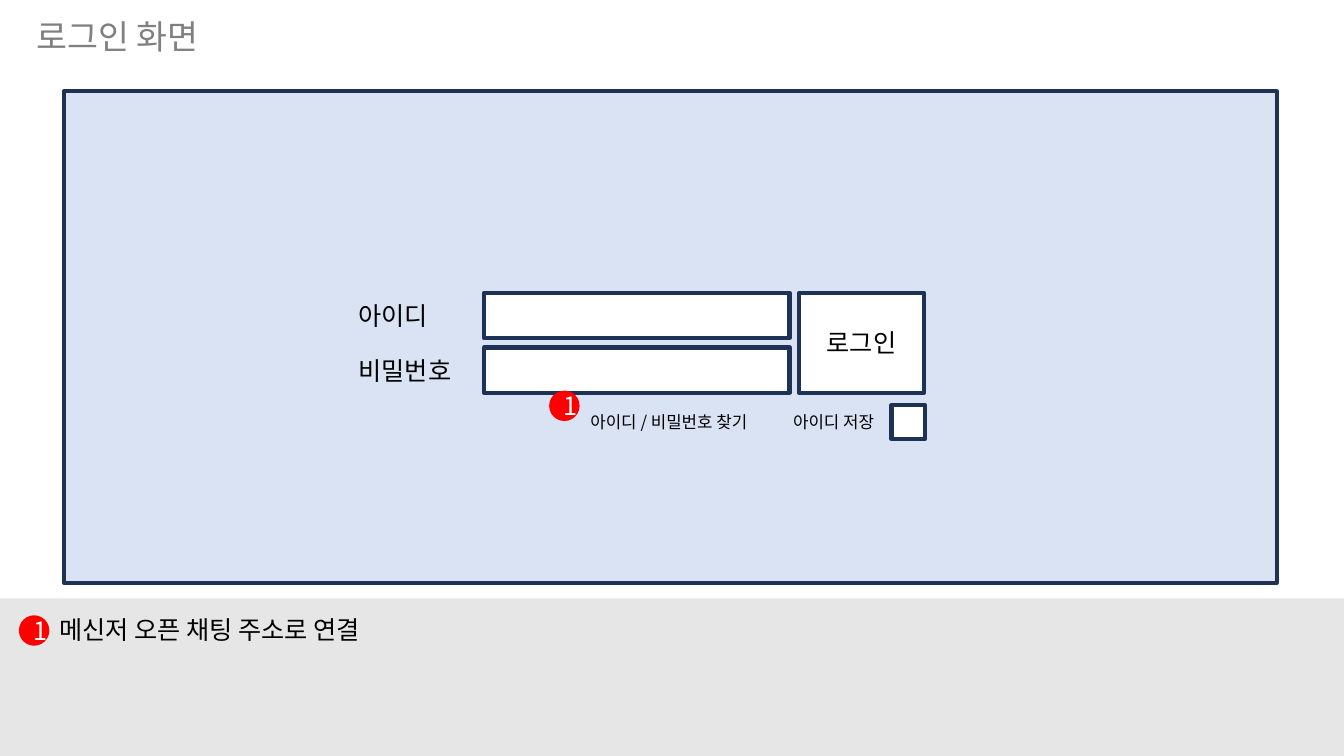
from lxml import etree
from pptx import Presentation
from pptx.dml.color import RGBColor
from pptx.enum.shapes import MSO_SHAPE
from pptx.enum.text import MSO_ANCHOR, MSO_AUTO_SIZE, PP_ALIGN
from pptx.oxml.ns import qn
from pptx.util import Pt

PX = 9525
FONT = "Noto Sans CJK KR"
RECT, OVAL = MSO_SHAPE.RECTANGLE, MSO_SHAPE.OVAL
LEFT, CENTER = PP_ALIGN.LEFT, PP_ALIGN.CENTER
TOP, MIDDLE = MSO_ANCHOR.TOP, MSO_ANCHOR.MIDDLE

WHITE = RGBColor(0xFF, 0xFF, 0xFF)
BLACK = RGBColor(0x00, 0x00, 0x00)
GRAY = RGBColor(0x80, 0x80, 0x80)
NAVY = RGBColor(0x1E, 0x32, 0x56)
PALE_BLUE = RGBColor(0xDA, 0xE3, 0xF3)
PALE_GRAY = RGBColor(0xE7, 0xE6, 0xE6)
RED = RGBColor(0xFF, 0x00, 0x00)

prs = Presentation()
prs.slide_width, prs.slide_height = 1280 * PX, 720 * PX
slide = prs.slides.add_slide(prs.slide_layouts[5])


def add_box(kind, left, top, width, height, fill, outline=None):
    box = slide.shapes.add_shape(kind, left * PX, top * PX, width * PX, height * PX)
    box.shadow.inherit = False
    box.fill.solid()
    box.fill.fore_color.rgb = fill
    if outline is None:
        box.line.fill.background()
    else:
        box.line.color.rgb = outline
        box.line.width = Pt(3)
    return box


def write(shape, text, size, color=BLACK, align=LEFT, anchor=MIDDLE):
    frame = shape.text_frame
    frame.text = text
    frame.word_wrap = True
    frame.auto_size = MSO_AUTO_SIZE.NONE
    frame.vertical_anchor = anchor
    paragraph = frame.paragraphs[0]
    paragraph.alignment = align
    font = paragraph.runs[0].font
    font.size = Pt(size)
    font.name = FONT
    font.color.rgb = color
    east_asian = etree.SubElement(paragraph.runs[0]._r.get_or_add_rPr(), qn("a:ea"))
    east_asian.set("typeface", FONT)


title = slide.shapes.title
title.left, title.top, title.width, title.height = 25 * PX, 15 * PX, 447 * PX, 44 * PX
write(title, "로그인 화면", 24, GRAY, anchor=TOP)
title.text_frame.paragraphs[0].line_spacing = 0.9

# Login screen with its input rows
add_box(RECT, 61, 87, 1155, 468, PALE_BLUE, NAVY)
login_button = add_box(RECT, 761, 279, 119, 95, WHITE, NAVY)
write(login_button, "로그인", 18, align=CENTER)

ROW_TOP, ROW_PITCH, ROW_HEIGHT = 279, 52, 43
captions = []
for row, caption in enumerate(["아이디", "비밀번호"]):
    row_top = ROW_TOP + row * ROW_PITCH
    add_box(RECT, 461, row_top, 291, ROW_HEIGHT, WHITE, NAVY)
    captions.append((caption, 332, row_top, 119, ROW_HEIGHT, 18, LEFT))

add_box(RECT, 849, 386, 32, 32, WHITE, NAVY)

# Notes band under the screen
add_box(RECT, 0, 570, 1280, 150, PALE_GRAY)

captions += [
    ("아이디 저장", 739, 386, 110, 32, 12, CENTER),
    ("아이디 / 비밀번호 찾기", 540, 386, 194, 32, 12, CENTER),
    ("메신저 오픈 채팅 주소로 연결", 47, 578, 352, 43, 18, LEFT),
]
for caption, left, top, width, height, size, align in captions:
    label = slide.shapes.add_textbox(left * PX, top * PX, width * PX, height * PX)
    write(label, caption, size, align=align)

for left, top in [(523, 372), (18, 586)]:
    badge = add_box(OVAL, left, top, 29, 29, RED)
    write(badge, "1", 18, WHITE, CENTER)

prs.save("out.pptx")
